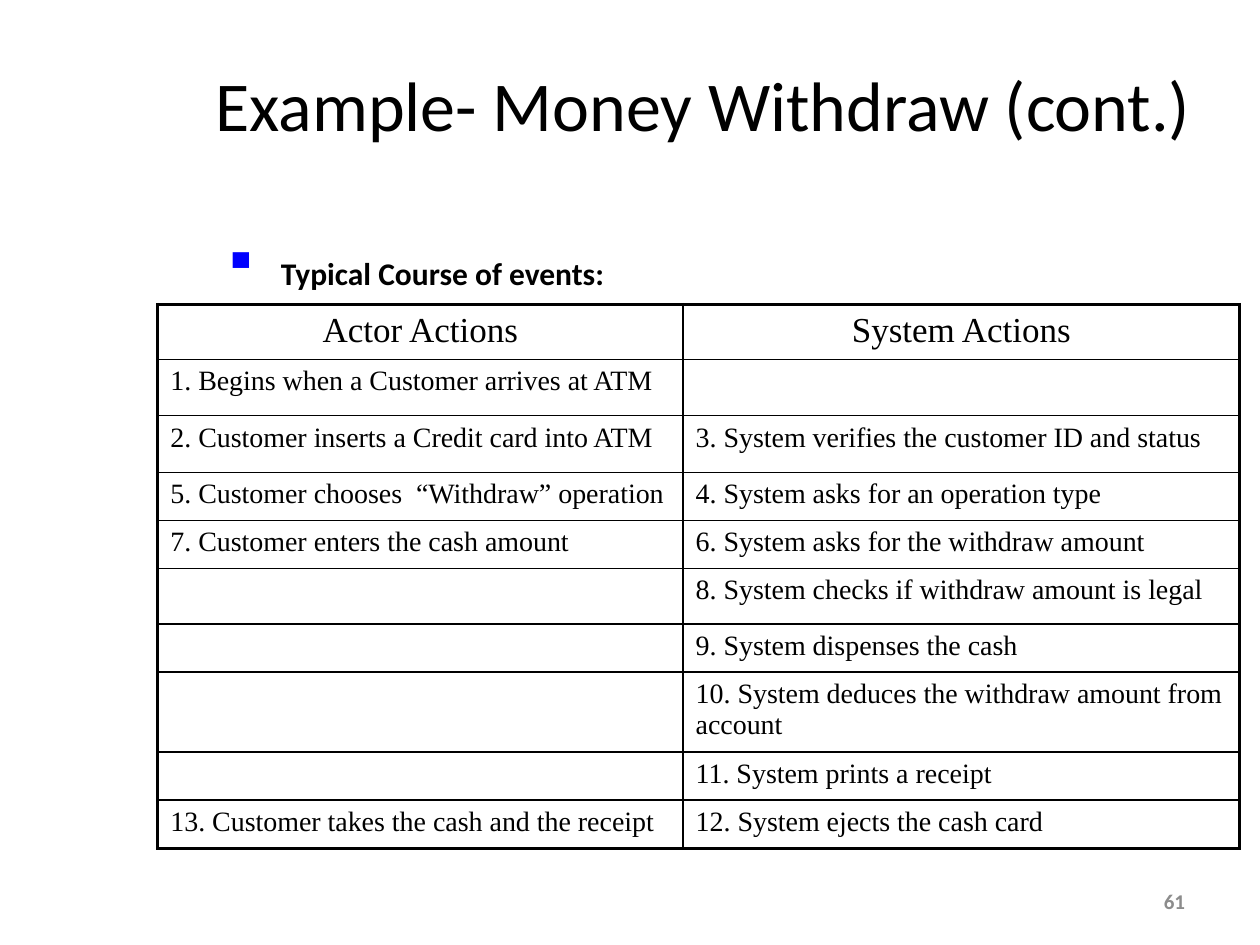
from lxml import etree
from pptx import Presentation
from pptx.dml.color import RGBColor
from pptx.enum.text import MSO_ANCHOR, PP_ALIGN
from pptx.oxml.ns import qn
from pptx.util import Cm, Pt

LEFT, CENTER, RIGHT = PP_ALIGN.LEFT, PP_ALIGN.CENTER, PP_ALIGN.RIGHT
TOP, MIDDLE = MSO_ANCHOR.TOP, MSO_ANCHOR.MIDDLE

COLORS = {"ink": "000000", "bullet": "0000FF", "number": "8C8C8C"}
SANS, SERIF = "Calibri", "Times New Roman"
THICK, THIN = 2.25, 1

COLUMN_WIDTHS = [10.59, 11.22]
ROW_HEIGHTS = [1.06, 1.14, 1.14, 0.97, 0.97, 1.12, 0.97, 1.14, 0.97, 0.97]
EVENTS = [
    ("Actor Actions", "System Actions"),
    ("1. Begins when a Customer arrives at ATM", ""),
    ("2. Customer inserts a Credit card into ATM",
     "3. System verifies the customer ID and status"),
    ("5. Customer chooses  “Withdraw” operation",
     "4. System asks for an operation type"),
    ("7. Customer enters the cash amount",
     "6. System asks for the withdraw amount"),
    ("", "8. System checks if withdraw amount is legal"),
    ("", "9. System dispenses the cash"),
    ("", "10. System deduces the withdraw amount from account"),
    ("", "11. System prints a receipt"),
    ("13. Customer takes the cash and the receipt",
     "12. System ejects the cash card"),
]


def add_span(para, text, size, font=SANS, color="ink", bold=False):
    span = para.add_run()
    span.text = text
    span.font.size = Pt(size)
    span.font.name = font
    span.font.bold = bold
    span.font.color.rgb = RGBColor.from_string(COLORS[color])


def add_box(page, left, top, width, height, anchor=TOP, align=LEFT):
    """Add a wrapping text box and return its first paragraph."""
    box = page.shapes.add_textbox(Cm(left), Cm(top), Cm(width), Cm(height))
    box.text_frame.word_wrap = True
    box.text_frame.vertical_anchor = anchor
    para = box.text_frame.paragraphs[0]
    para.alignment = align
    return para


def set_bullet(para, char, color, indent):
    props = para._p.get_or_add_pPr()
    props.set("marL", str(Cm(indent)))
    props.set("indent", str(-Cm(indent)))
    tint = etree.SubElement(props, qn("a:buClr"))
    etree.SubElement(tint, qn("a:srgbClr"), val=COLORS[color])
    etree.SubElement(props, qn("a:buChar"), char=char)


def set_borders(cell, widths):
    """Draw the cell's sides; widths maps L, R, T and B to points."""
    props = cell._tc.get_or_add_tcPr()
    for position, (side, width) in enumerate(widths.items()):
        line = etree.Element(qn(f"a:ln{side}"), w=str(Pt(width)))
        fill = etree.SubElement(line, qn("a:solidFill"))
        etree.SubElement(fill, qn("a:srgbClr"), val=COLORS["ink"])
        props.insert(position, line)


def fill_cell(cell, text, size, align):
    cell.fill.background()
    para = cell.text_frame.paragraphs[0]
    para.alignment = align
    space = etree.SubElement(para._p.get_or_add_pPr(), qn("a:spcBef"))
    etree.SubElement(space, qn("a:spcPct"), val="20000")
    if text:
        add_span(para, text, size, SERIF)
    else:
        # Keeps an empty cell from stretching its row
        etree.SubElement(para._p, qn("a:endParaRPr"), sz=str(size * 100))


def add_event_table(page, left, top):
    last_row, last_column = len(EVENTS) - 1, len(COLUMN_WIDTHS) - 1
    table = page.shapes.add_table(
        len(EVENTS), len(COLUMN_WIDTHS), Cm(left), Cm(top),
        Cm(sum(COLUMN_WIDTHS)), Cm(sum(ROW_HEIGHTS))).table
    table.first_row = table.horz_banding = False
    for column, width in zip(table.columns, COLUMN_WIDTHS):
        column.width = Cm(width)
    for r, (height, texts) in enumerate(zip(ROW_HEIGHTS, EVENTS)):
        table.rows[r].height = Cm(height)
        size, align = (20, CENTER) if r == 0 else (16, LEFT)
        for c, text in enumerate(texts):
            cell = table.cell(r, c)
            fill_cell(cell, text, size, align)
            outer = {"L": c == 0, "R": c == last_column,
                     "T": r == 0, "B": r == last_row}
            set_borders(cell, {side: THICK if edge else THIN
                               for side, edge in outer.items()})


def main():
    deck = Presentation()
    deck.slide_width, deck.slide_height = Cm(25.4), Cm(19.05)
    page = deck.slides.add_slide(deck.slide_layouts[6])

    # Title
    title = add_box(page, 3.38, 0.58, 21.59, 3.02, MIDDLE, CENTER)
    add_span(title, "Example- Money Withdraw (cont.)", 40)

    # Bulleted heading
    heading = add_box(page, 4.24, 4.65, 19.69, 1.7)
    set_bullet(heading, "▪", "bullet", 0.95)
    add_span(heading, " ", 28)
    add_span(heading, "Typical Course of events:", 18, bold=True)

    # Course of events
    add_event_table(page, 3.18, 6.14)

    # Slide number
    number = add_box(page, 18.21, 17.65, 5.93, 1.02, MIDDLE, RIGHT)
    add_span(number, "61", 12, color="number", bold=True)

    deck.save("out.pptx")


if __name__ == "__main__":
    main()
